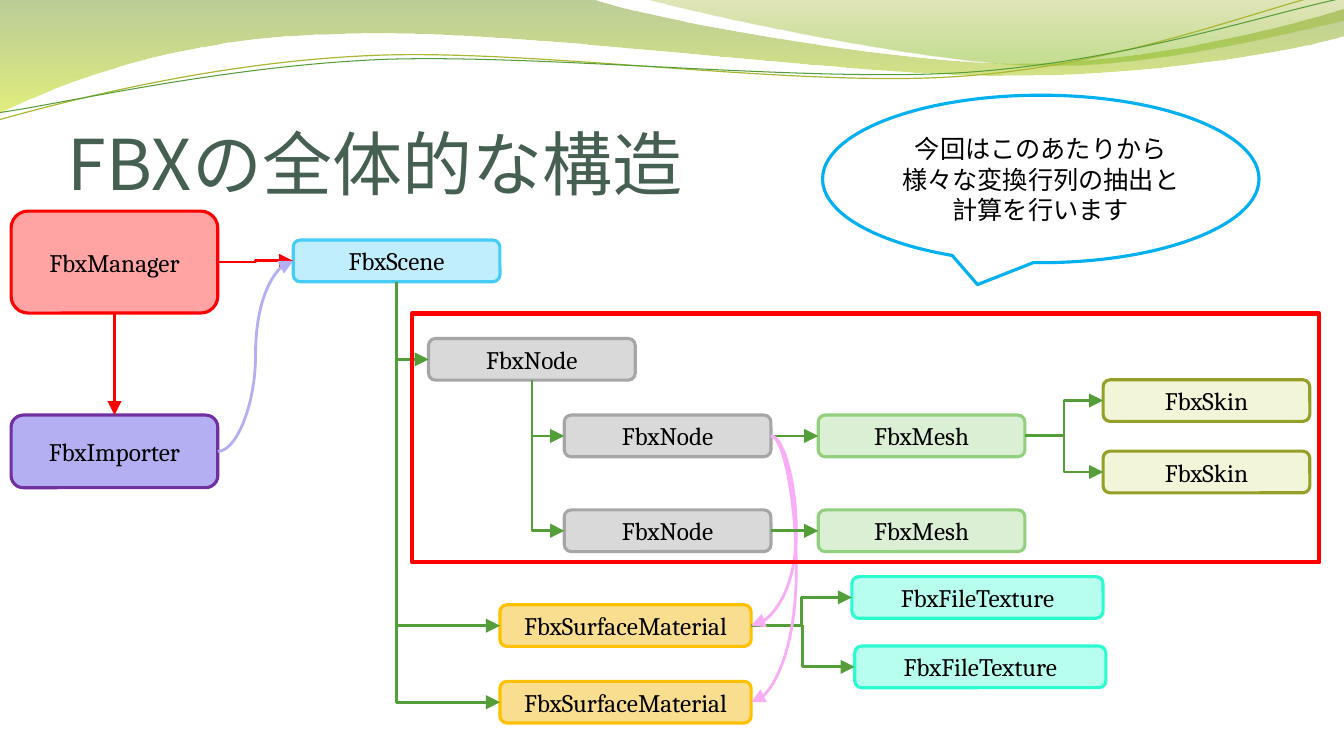
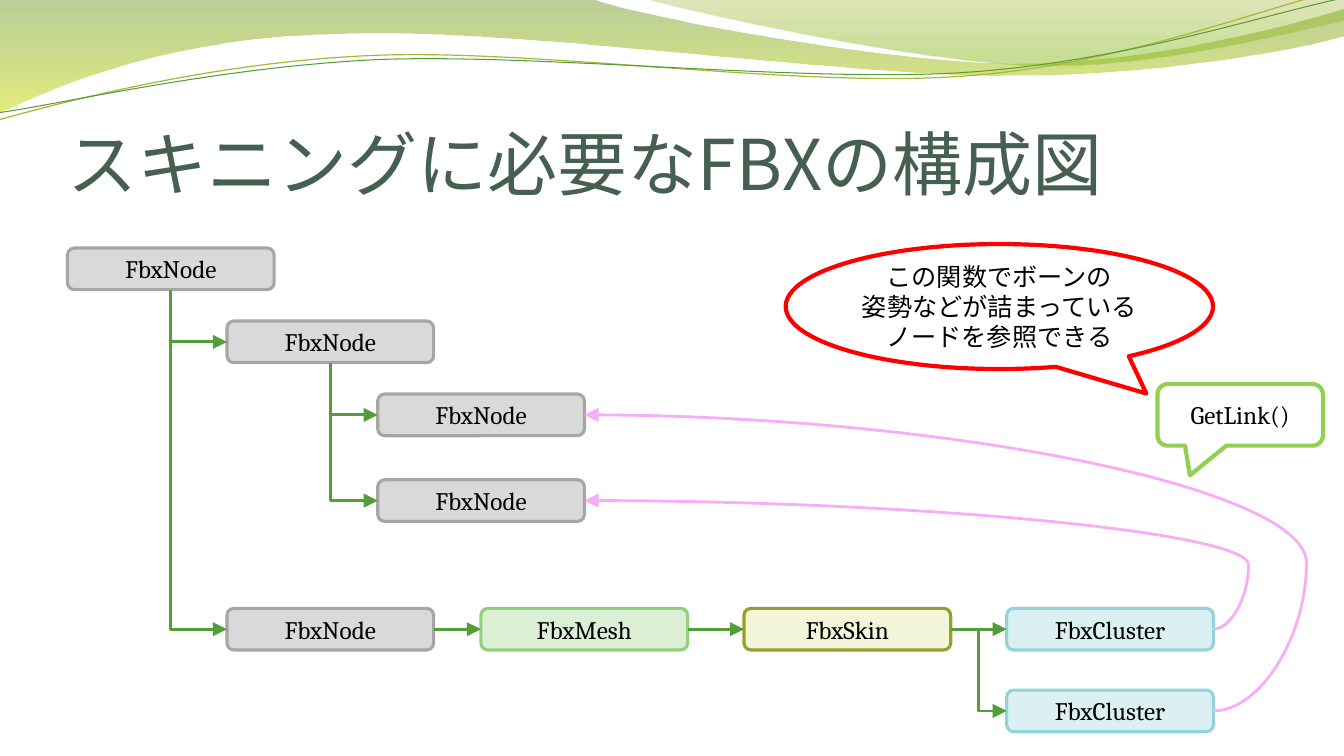
from lxml.etree import SubElement
from pptx import Presentation
from pptx.dml.color import RGBColor
from pptx.enum.shapes import MSO_CONNECTOR as Link, MSO_SHAPE as Preset
from pptx.enum.text import MSO_ANCHOR as Anchor, MSO_AUTO_SIZE as AutoSize, PP_ALIGN as Align
from pptx.oxml.ns import qn
from pptx.util import Cm, Pt

COLORS = {
    "title": "455F51", "text": "000000", "white": "FFFFFF",
    "tree": "549E39", "reference": "F9ADF7", "olive": "A9B733",
    "red": "FF0000", "blue": "00B0F0", "lime": "92D050", "lilac": "B4AFF3",
    "FbxNode": "D9D9D9", "FbxNode edge": "A6A6A6",
    "FbxScene": "C1EEFC", "FbxScene edge": "46CCF6",
    "FbxMesh": "DBEFD4", "FbxMesh edge": "93D07D",
    "FbxSkin": "F2F5D8", "FbxSkin edge": "94A027",
    "FbxSurfaceMaterial": "FADE90", "FbxSurfaceMaterial edge": "FFC000",
    "FbxFileTexture": "B8FEEF", "FbxFileTexture edge": "2BFCCF",
    "FbxManager": "FFA3A3", "FbxManager edge": "FF0000",
    "FbxImporter": "B4AFF3", "FbxImporter edge": "7030A0",
    "FbxCluster": "DBF0F3", "FbxCluster edge": "92D3DC",
    "wave dark": "69921C", "wave light": "CCE10F",
    "crest dark": "9BAA1A", "crest light": "81BA16",
}
LATIN, JAPANESE = "Cambria", "Noto Sans CJK JP"
BOX_W, BOX_H, WIDE_W = 5.21, 1.05, 6.33
TOP, LEFT, BOTTOM, RIGHT = range(4)

# Banner outlines in cm: a pair is a line to a point, six numbers are a Bézier curve
WAVE = [(0, 0), (14.91, -0.03), (16.1, 0.43, 22.45, 1.6, 25.68, 1.6),
        (28.88, 1.6, 32.44, 0.66, 33.86, 0.23), (33.88, 0.91),
        (33.3, 1.12, 29.44, 1.93, 25.25, 1.91), (21.06, 1.91, 12.93, 0.71, 8.71, 0.86),
        (4.37, 0.91, 1.55, 2.11, -0.05, 2.87), (0, 0)]
CREST = [(16.21, -0.03), (17.25, 0.28, 23.09, 1.57, 26.04, 1.65),
         (28.96, 1.75, 32.56, 0.81, 33.86, 0.53), (33.86, 0), (16.21, -0.03)]
OLIVE_THREAD = [(-0.03, 3.02), (1.6, 2.57, 5.33, 1.57, 9.37, 1.4),
                (13.39, 1.22, 20.04, 2.21, 24.1, 1.93), (28.19, 1.68, 31.78, 0.2, 33.78, -0.25)]
GREEN_THREAD = [(-0.03, 2.84), (1.57, 2.62, 5.54, 1.68, 9.58, 1.5),
                (13.64, 1.35, 20.22, 2.08, 24.26, 1.83), (28.3, 1.57, 31.88, 0.36, 33.86, -0.05)]


def rgb(name):
    return RGBColor.from_string(COLORS[name])


def write_text(shape, text, size=18, color="text", latin=LATIN, align=Align.CENTER,
               anchor=Anchor.MIDDLE, spacing=None):
    frame = shape.text_frame
    frame.word_wrap = True
    frame.auto_size = AutoSize.NONE
    frame.vertical_anchor = anchor
    frame.text = text
    for paragraph in frame.paragraphs:
        paragraph.alignment = align
        paragraph.line_spacing = spacing
        for run in paragraph.runs:
            font = run.font
            font.size, font.name = Pt(size), latin
            font.color.rgb = rgb(color)
            SubElement(font._element, qn("a:ea")).set("typeface", JAPANESE)


def add_outlined(slide, preset, at, edge, fill=None, width=2.25, adjust=()):
    shape = slide.shapes.add_shape(preset, *map(Cm, at))
    shape.shadow.inherit = False
    if fill:
        shape.fill.solid()
        shape.fill.fore_color.rgb = rgb(fill)
    else:
        shape.fill.background()
    shape.line.color.rgb = rgb(edge)
    shape.line.width = Pt(width)
    for index, value in enumerate(adjust):
        shape.adjustments[index] = value
    return shape


def add_box(slide, name, left, top, width=BOX_W, height=BOX_H):
    box = add_outlined(slide, Preset.ROUNDED_RECTANGLE, (left, top, width, height),
                       f"{name} edge", name)
    write_text(box, name)
    return box


def add_callout(slide, preset, at, text, edge, **style):
    write_text(add_outlined(slide, preset, at, edge, **style), text)


def join(slide, kind, start, start_side, end, end_side, color="tree"):
    """Join two boxes with an arrow."""
    arrow = slide.shapes.add_connector(kind, 0, 0, 0, 0)
    arrow.begin_connect(start, start_side)
    arrow.end_connect(end, end_side)
    arrow.line.color.rgb = rgb(color)
    arrow.line.width = Pt(2)
    properties = arrow.element.spPr
    head = SubElement(properties.find(qn("a:ln")), qn("a:tailEnd"))
    for key, value in (("type", "triangle"), ("w", "lg"), ("len", "lg")):
        head.set(key, value)
    SubElement(properties, qn("a:effectLst"))
    return arrow


def add_next(slide, start, *ends):
    """Arrows from the right side of a box to the left side of others."""
    for end in ends:
        level = start.top + start.height // 2 == end.top + end.height // 2
        join(slide, Link.STRAIGHT if level else Link.ELBOW, start, RIGHT, end, LEFT)


def add_branches(slide, parent, *children):
    """One-corner arrows from below the parent to the left side of each child."""
    for child in children:
        arrow = join(slide, Link.ELBOW, parent, BOTTOM, child, LEFT)
        left, top, across, down = arrow.left, arrow.top, arrow.width, arrow.height
        # A single corner is a quarter turn of the flipped connector about its centre
        arrow.left, arrow.top = left + (across - down) // 2, top + (down - across) // 2
        arrow.width, arrow.height = down, across
        frame = arrow.element.spPr.find(qn("a:xfrm"))
        frame.set("rot", "16200000")
        frame.set("flipH", "1")
        arrow.element.spPr.find(qn("a:prstGeom")).set("prst", "bentConnector2")


def add_reference(slide, start, end, bulge):
    """Curved arrow between two right sides, swinging out by bulge cm."""
    arrow = join(slide, Link.CURVE, start, RIGHT, end, RIGHT, "reference")
    guide = SubElement(arrow.element.spPr.find(qn("a:prstGeom")).find(qn("a:avLst")), qn("a:gd"))
    guide.set("name", "adj1")
    guide.set("fmla", f"val {round(-100000 * Cm(bulge) / arrow.width)}")


def add_outline(slide, outline, close):
    points = [(Cm(segment[i]), Cm(segment[i + 1]))
              for segment in outline for i in range(0, len(segment), 2)]
    builder = slide.shapes.build_freeform(*points[0])
    builder.add_line_segments(points[1:], close=close)
    shape = builder.convert_to_shape()
    shape.shadow.inherit = False
    # Merge each three lines that stand for a curve into one Bézier
    lines = iter(list(shape.element.iter(qn("a:lnTo"))))
    for segment in outline[1:]:
        line = next(lines)
        if len(segment) == 6:
            line.tag = qn("a:cubicBezTo")
            for other in (next(lines), next(lines)):
                line.append(other[0])
                other.getparent().remove(other)
    return shape


def add_wave(slide, outline, stops):
    wave = add_outline(slide, outline, True)
    wave.line.fill.background()
    wave.fill.gradient()
    wave.fill.gradient_angle = 270
    for stop, (position, color, _) in zip(wave.fill.gradient_stops, stops):
        stop.position = position
        stop.color.rgb = rgb(color)
    for tone, (_, _, opacity) in zip(list(wave.element.iter(qn("a:srgbClr"))), stops):
        SubElement(tone, qn("a:alpha")).set("val", str(opacity * 1000))
    return wave


def add_thread(slide, outline, color, width):
    thread = add_outline(slide, outline, False)
    thread.fill.background()
    thread.line.color.rgb = rgb(color)
    thread.line.width = Pt(width)
    return thread


def prepare_layout(layout, slide):
    """Put the title position and the banner on the layout."""
    title, *unused = list(layout.placeholders)
    for holder in unused:
        holder.element.getparent().remove(holder.element)
    title.left, title.top, title.width, title.height = map(Cm, (1.7, 1.96, 30.48, 3.17))
    banner = [
        add_wave(slide, WAVE, [(0, "wave dark", 45), (1, "wave light", 55)]),
        add_wave(slide, CREST, [(0, "crest dark", 30), (0.8, "crest light", 45)]),
        add_thread(slide, OLIVE_THREAD, "olive", 0.85),
        add_thread(slide, GREEN_THREAD, "tree", 0.75),
    ]
    for depth, part in enumerate(banner, start=2):
        layout.shapes.element.insert(depth, part.element)


def set_title(slide, text):
    title = slide.shapes.title
    write_text(title, text, size=50, color="title", latin=JAPANESE, align=Align.LEFT,
               anchor=Anchor.BOTTOM, spacing=0.8)
    frame = title.text_frame
    frame.margin_left = frame.margin_right = frame.margin_bottom = 0
    frame.margin_top = Cm(0.13)


def fill_structure(slide):
    set_title(slide, "FBXの全体的な構造")
    # Boxes
    manager = add_box(slide, "FbxManager", 0.28, 5.32, height=2.57)
    importer = add_box(slide, "FbxImporter", 0.28, 10.46, height=1.83)
    scene = add_box(slide, "FbxScene", 7.39, 6.05)
    root = add_box(slide, "FbxNode", 10.8, 8.53)
    rows = (10.46, 12.85)
    nodes = [add_box(slide, "FbxNode", 14.22, top) for top in rows]
    meshes = [add_box(slide, "FbxMesh", 20.62, top) for top in rows]
    skins = [add_box(slide, "FbxSkin", 27.8, top) for top in (9.57, 11.37)]
    materials = [add_box(slide, "FbxSurfaceMaterial", 12.6, top, WIDE_W)
                 for top in (15.24, 17.17)]
    textures = [add_box(slide, "FbxFileTexture", left, top, WIDE_W)
                for left, top in ((21.47, 14.53), (21.54, 16.28))]
    # Arrows
    join(slide, Link.ELBOW, manager, RIGHT, scene, LEFT, "red")
    join(slide, Link.STRAIGHT, manager, BOTTOM, importer, TOP, "red")
    join(slide, Link.CURVE, importer, RIGHT, scene, LEFT, "lilac")
    add_branches(slide, scene, root, *materials)
    add_branches(slide, root, *nodes)
    add_next(slide, nodes[0], meshes[0])
    add_next(slide, meshes[0], *skins)
    add_next(slide, materials[0], *textures)
    for material in reversed(materials):
        add_reference(slide, nodes[0], material, 0.64)
    add_next(slide, nodes[1], meshes[1])
    # Highlighted area and remark
    add_outlined(slide, Preset.RECTANGLE, (10.39, 7.9, 22.86, 6.27), "red", width=3)
    add_callout(slide, Preset.OVAL_CALLOUT, (20.73, 2.4, 11, 4.22),
                "今回はこのあたりから\n様々な変換行列の抽出と\n計算を行います",
                "blue", fill="white", adjust=(-0.145, 0.631))


def fill_skinning(slide):
    set_title(slide, "スキニングに必要なFBXの構成図")
    # Boxes
    base = 15.33
    root = add_box(slide, "FbxNode", 1.7, 6.25)
    skeleton = add_box(slide, "FbxNode", 5.72, 8.09)
    bones = [add_box(slide, "FbxNode", 9.52, top) for top in (9.93, 12.09)]
    body = add_box(slide, "FbxNode", 5.72, base)
    mesh = add_box(slide, "FbxMesh", 12.12, base)
    skin = add_box(slide, "FbxSkin", 18.75, base)
    clusters = [add_box(slide, "FbxCluster", 25.37, top) for top in (base, 17.39)]
    # Arrows
    add_branches(slide, root, body, skeleton)
    add_branches(slide, skeleton, *bones)
    add_next(slide, body, mesh)
    add_next(slide, mesh, skin)
    add_next(slide, skin, *clusters)
    for cluster, bone, bulge in zip(clusters, reversed(bones), (0.89, 2.34)):
        add_reference(slide, cluster, bone, bulge)
    # Remarks
    add_callout(slide, Preset.ROUNDED_RECTANGULAR_CALLOUT, (29.17, 9.68, 4.17, 1.55),
                "GetLink()", "lime", width=3, adjust=(-0.304, 0.983, 0.167))
    add_callout(slide, Preset.OVAL_CALLOUT, (19.8, 6.15, 10.77, 3.15),
                "この関数でボーンの\n姿勢などが詰まっている\nノードを参照できる",
                "red", fill="white", width=3, adjust=(0.344, 0.696))


def main():
    deck = Presentation()
    deck.slide_width, deck.slide_height = Cm(33.87), Cm(19.05)
    layout = deck.slide_layouts[5]
    structure, skinning = (deck.slides.add_slide(layout) for _ in range(2))
    prepare_layout(layout, structure)
    fill_structure(structure)
    fill_skinning(skinning)
    deck.save("out.pptx")


if __name__ == "__main__":
    main()
